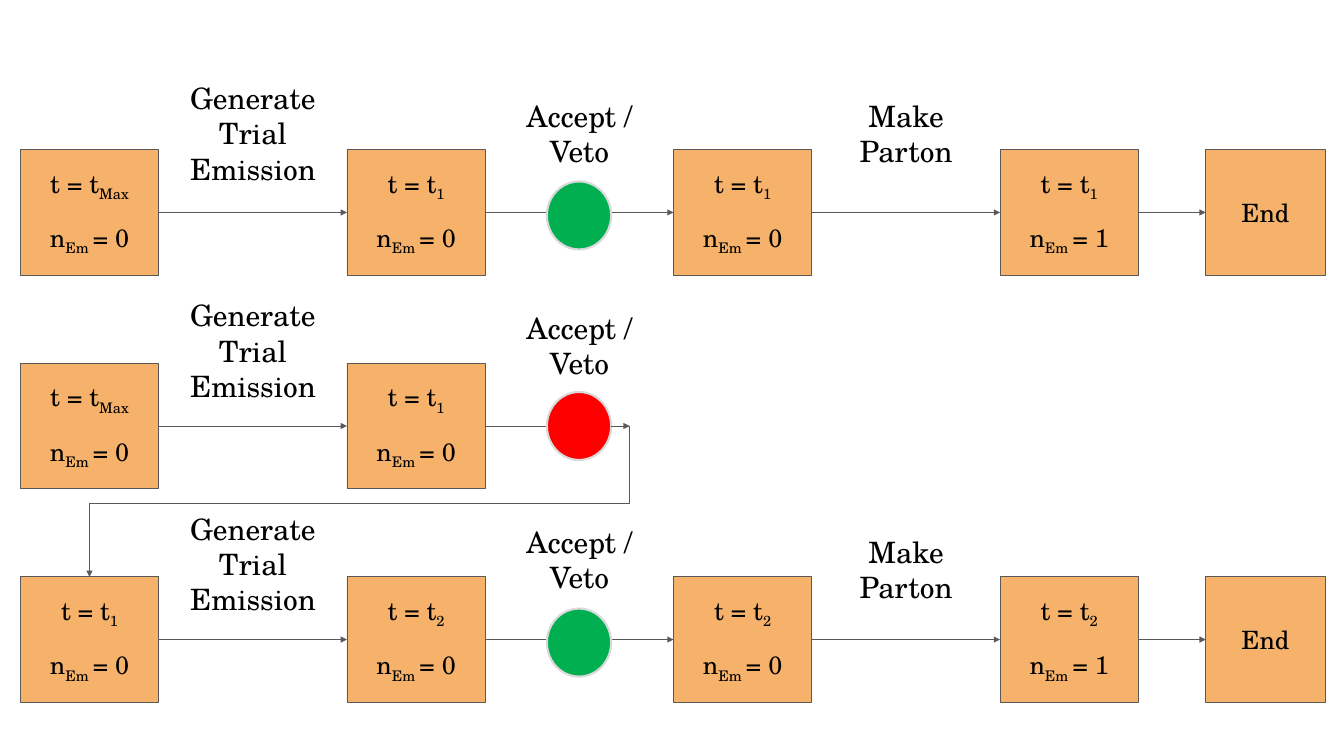
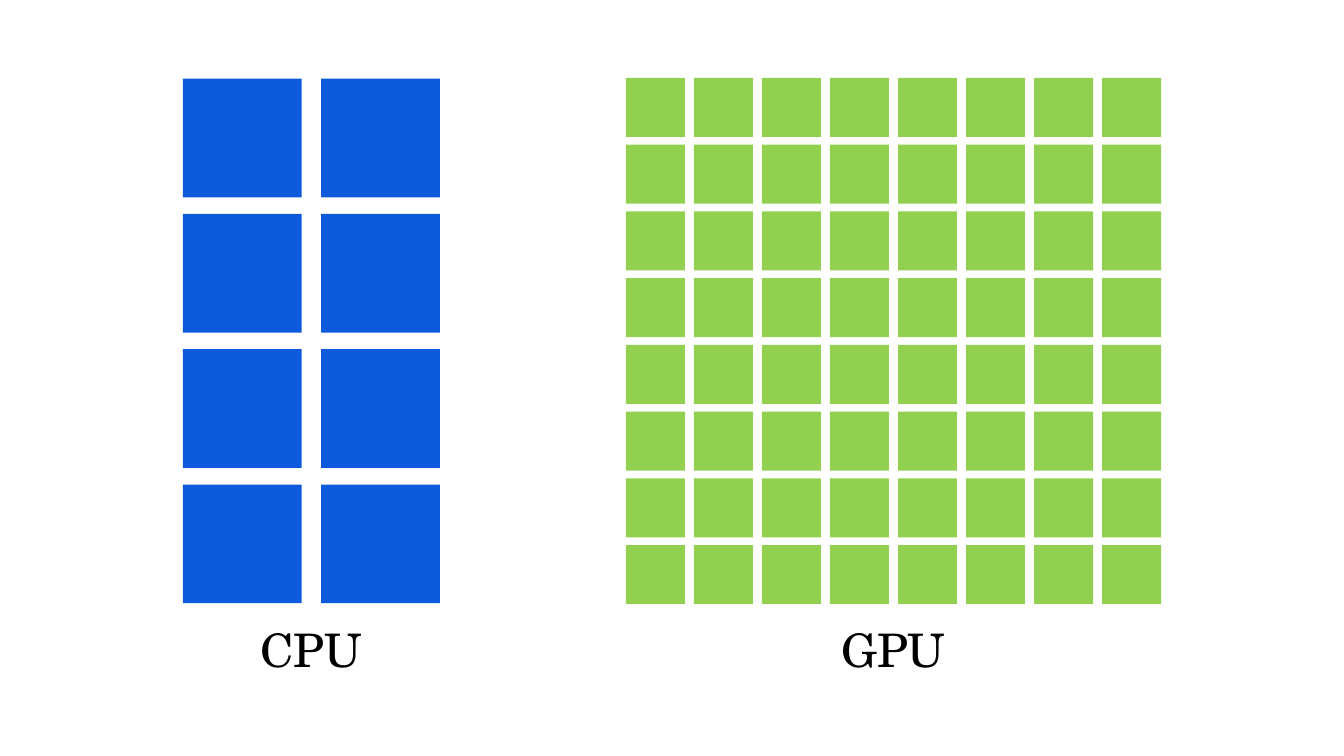
from dataclasses import dataclass
from typing import NamedTuple

from lxml import etree
from pptx import Presentation
from pptx.dml.color import RGBColor
from pptx.enum.shapes import MSO_CONNECTOR, MSO_SHAPE
from pptx.enum.text import MSO_ANCHOR, PP_ALIGN
from pptx.oxml.ns import qn
from pptx.util import Inches, Pt

RECTANGLE, OVAL = MSO_SHAPE.RECTANGLE, MSO_SHAPE.OVAL
STRAIGHT, ELBOW = MSO_CONNECTOR.STRAIGHT, MSO_CONNECTOR.ELBOW
MIDDLE, CENTER = MSO_ANCHOR.MIDDLE, PP_ALIGN.CENTER

SLIDE_W, SLIDE_H = 17.78, 10
FONT = "TeX Gyre Schola"
COLORS = {
    "text": "000000", "paper": "FFFFFF", "state": "F6B26B", "line": "595959",
    "accept": "00B050", "veto": "FF0000", "ring": "D9D9D9",
    "cpu": "0D5BDC", "gpu": "92D050",
}

# Flow grid: state boxes stand on columns, one flow per row
FIRST_COLUMN, COLUMN_PITCH = 0.27, 4.32
FIRST_ROW, ROW_PITCH = 2.81, 2.825
STATE_W, STATE_H = 1.83, 1.66
END_LEFT, END_W = 15.95, 1.58
LABEL_W, LABEL_H = 2.49, 2.1
LIGHT_X, LIGHT_W, LIGHT_H = 7.66, 0.85, 0.9
VETO_STOP = 8.33
STEPS = (["Generate", "Trial Emission"], ["Accept / Veto"], ["Make Parton"])


class Box(NamedTuple):
    left: float
    top: float
    width: float
    height: float

    @classmethod
    def around(cls, x: float, y: float, width: float, height: float) -> "Box":
        return cls(x - width / 2, y - height / 2, width, height)

    def emu(self) -> list[int]:
        return [Inches(length) for length in self]


@dataclass
class Flow:
    """One row: (time index, emissions) per state and label heights above the line."""
    states: list[tuple[str, int]]
    label_lifts: list[float]
    light_drop: float
    accepted: bool = True


@dataclass
class Processor:
    caption: str
    color: str
    columns: int
    rows: int
    core: float
    area: Box


FLOWS = [
    Flow([("Max", 0), ("1", 0), ("1", 0), ("1", 1)], [1.05, 1.05, 1.05], 0.04),
    Flow([("Max", 0), ("1", 0)], [1.0, 1.07], 0, accepted=False),
    Flow([("1", 0), ("2", 0), ("2", 0), ("2", 1)], [1.0, 1.06, 0.93], 0.04),
]
PROCESSORS = [
    Processor("CPU", "cpu", 2, 4, 1.57, Box(2.42, 1.04, 3.4, 6.94)),
    Processor("GPU", "gpu", 8, 8, 0.78, Box(8.28, 1.03, 7.08, 6.96)),
]
CAPTION_TOP, CAPTION_H = 8.2, 0.78


def rgb(name: str) -> RGBColor:
    return RGBColor.from_string(COLORS[name])


def apply(target, formats: dict) -> None:
    for attribute, value in formats.items():
        setattr(target, attribute, value)


def write(shape, lines: list, size: float, inset: float, gap: float = 0) -> None:
    """Write centred lines; in a line given as a tuple every second part is subscript."""
    frame = shape.text_frame
    margins = {f"margin_{side}": Inches(inset) for side in ("left", "right", "top", "bottom")}
    apply(frame, {"word_wrap": True, "vertical_anchor": MIDDLE, **margins})
    for index, line in enumerate(lines):
        paragraph = frame.add_paragraph() if index else frame.paragraphs[0]
        apply(paragraph, {"alignment": CENTER, "space_before": Pt(gap if index else 0)})
        for part, text in enumerate((line,) if isinstance(line, str) else line):
            run = paragraph.add_run()
            run.text = text
            apply(run.font, {"name": FONT, "size": Pt(size)})
            run.font.color.rgb = rgb("text")
            if part % 2:
                run.font._element.set("baseline", "-25000")


def add_block(slide, kind, box: Box, fill: str, line: str = "", width: float = 0.75):
    block = slide.shapes.add_shape(kind, *box.emu())
    block.shadow.inherit = False
    block.fill.solid()
    block.fill.fore_color.rgb = rgb(fill)
    if line:
        block.line.color.rgb = rgb(line)
        block.line.width = Pt(width)
    else:
        block.line.fill.background()
    return block


def add_arrow(slide, start: tuple[float, float], end: tuple[float, float], kind=STRAIGHT):
    arrow = slide.shapes.add_connector(kind, *(Inches(v) for v in (*start, *end)))
    arrow.line.color.rgb = rgb("line")
    arrow.line.width = Pt(0.75)
    etree.SubElement(arrow.line._get_or_add_ln(), qn("a:tailEnd"), type="triangle")
    etree.SubElement(arrow._element.spPr, qn("a:effectLst"))
    return arrow


def add_return(slide, start: tuple[float, float], end: tuple[float, float]) -> None:
    """Lead a vetoed flow round to the top of the first state of the next row."""
    geometry = add_arrow(slide, start, end, ELBOW)._element.spPr.find(qn("a:prstGeom"))
    geometry.set("prst", "bentConnector4")
    guides = geometry.find(qn("a:avLst"))
    for name, value in (("adj1", -3600), ("adj2", 51500)):
        etree.SubElement(guides, qn("a:gd"), name=name, fmla=f"val {value}")


def add_flow(slide, flow: Flow, y: float) -> None:
    lefts = [FIRST_COLUMN + COLUMN_PITCH * column for column in range(len(flow.states))]
    stops = lefts[1:] + [END_LEFT if flow.accepted else VETO_STOP]
    for left, stop in zip(lefts, stops):
        add_arrow(slide, (left + STATE_W, y), (stop, y))

    for left, (time, emissions) in zip(lefts, flow.states):
        state = add_block(slide, RECTANGLE, Box(left, y - STATE_H / 2, STATE_W, STATE_H),
                          "state", "line")
        write(state, [("t = t", time), ("n", "Em ", f"= {emissions}")], 24, 0.32, gap=19)
    if flow.accepted:
        end = add_block(slide, RECTANGLE, Box(END_LEFT, y - STATE_H / 2, END_W, STATE_H),
                        "state", "line")
        write(end, ["End"], 24, 0.32)

    first_gap = FIRST_COLUMN + (STATE_W + COLUMN_PITCH) / 2
    for column, (step, lift) in enumerate(zip(STEPS, flow.label_lifts)):
        box = Box.around(first_gap + COLUMN_PITCH * column, y - lift, LABEL_W, LABEL_H)
        write(slide.shapes.add_textbox(*box.emu()), step, 28, 0.32)

    add_block(slide, OVAL, Box.around(LIGHT_X, y + flow.light_drop, LIGHT_W, LIGHT_H),
              "accept" if flow.accepted else "veto", "ring", 2)


def add_processor(slide, processor: Processor) -> None:
    area, core = processor.area, processor.core
    pitch_x = (area.width - core) / (processor.columns - 1)
    pitch_y = (area.height - core) / (processor.rows - 1)
    for row in range(processor.rows):
        for column in range(processor.columns):
            box = Box(area.left + column * pitch_x, area.top + row * pitch_y, core, core)
            add_block(slide, RECTANGLE, box, processor.color)
    caption = add_block(slide, RECTANGLE, Box(area.left, CAPTION_TOP, area.width, CAPTION_H),
                        "paper")
    write(caption, [processor.caption], 44, 0.05)


def main() -> None:
    deck = Presentation()
    apply(deck, {"slide_width": Inches(SLIDE_W), "slide_height": Inches(SLIDE_H)})
    blank = deck.slide_layouts[6]

    shower = deck.slides.add_slide(blank)
    for row, flow in enumerate(FLOWS):
        y = FIRST_ROW + ROW_PITCH * row
        add_flow(shower, flow, y)
        if not flow.accepted:
            next_top = y + ROW_PITCH - STATE_H / 2
            add_return(shower, (LIGHT_X + LIGHT_W / 2, y),
                       (FIRST_COLUMN + STATE_W / 2, next_top))

    cores = deck.slides.add_slide(blank)
    for processor in PROCESSORS:
        add_processor(cores, processor)

    deck.save("out.pptx")


if __name__ == "__main__":
    main()
